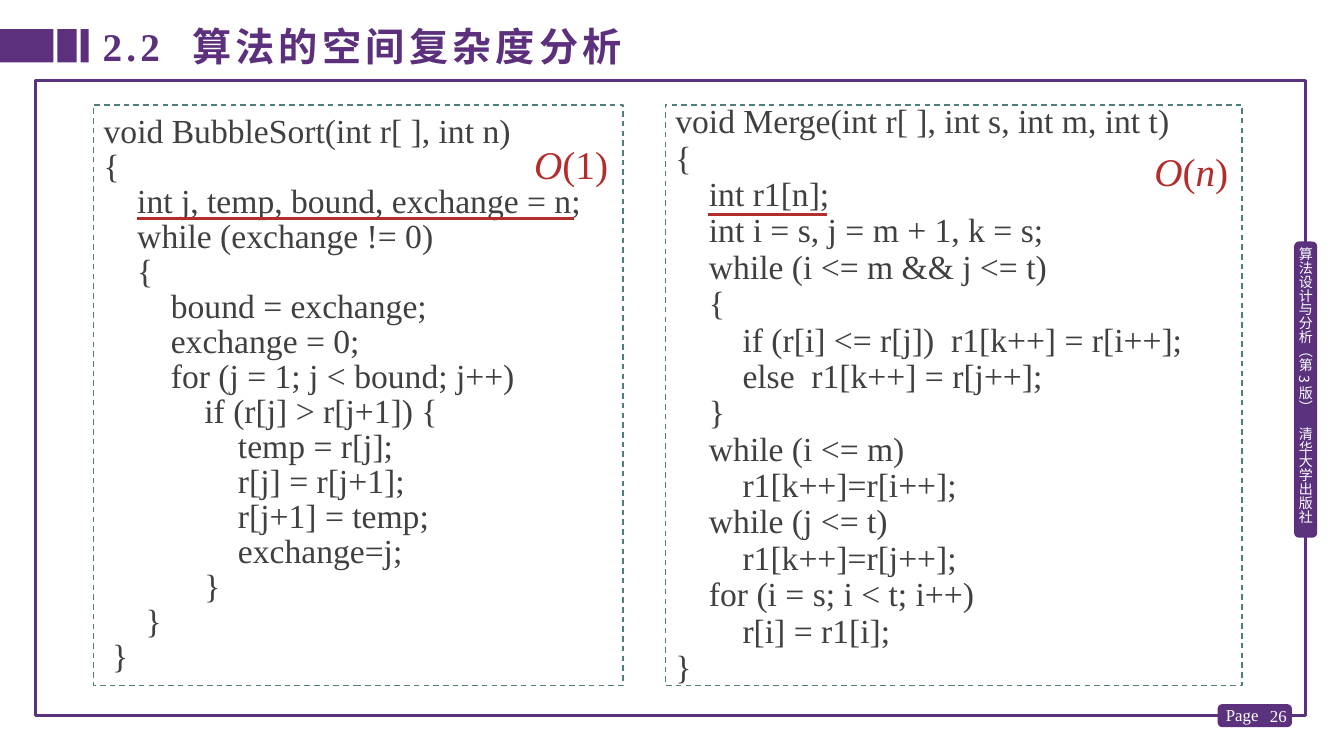
import pptx
import pptx.util
import pptx.dml.color
import pptx.enum.dml
import pptx.enum.shapes
import pptx.enum.text
from lxml import etree

RGBColor = pptx.dml.color.RGBColor
FRAME = RGBColor(0x5A, 0x32, 0x7D)
PURPLE = RGBColor(0x5C, 0x30, 0x7D)
TEAL = RGBColor(0x50, 0x7D, 0x7D)
GRAY = RGBColor(0x40, 0x40, 0x40)
RED = RGBColor(0xB4, 0x2D, 0x2D)
WHITE = RGBColor(0xFF, 0xFF, 0xFF)
ROMAN = "Times New Roman"
NOTO = "Noto Sans CJK SC"
KIND = pptx.enum.shapes.MSO_SHAPE
ALIGN = pptx.enum.text.PP_ALIGN
TOP = pptx.enum.text.MSO_ANCHOR.TOP
MID = pptx.enum.text.MSO_ANCHOR.MIDDLE
NS = "{http://schemas.openxmlformats.org/drawingml/2006/main}"
Pt = pptx.util.Pt

deck = pptx.Presentation()
deck.slide_width = pptx.util.Inches(13.33)
deck.slide_height = pptx.util.Inches(7.5)
slide = deck.slides.add_slide(deck.slide_layouts[6])
shapes = slide.shapes

# The grid has 133.3 columns and 75 rows.
COL = deck.slide_width / 133.3
ROW = deck.slide_height / 75


def place(kind, x, y, w, h, fill=None, line=None, width=1):
    """Add a shape, or a text box when kind is None, by grid cells."""
    area = [round(n) for n in (x * COL, y * ROW, w * COL, h * ROW)]
    if kind is None:
        return shapes.add_textbox(*area)
    item = shapes.add_shape(kind, *area)
    item.shadow.inherit = False
    if fill is None:
        item.fill.background()
    else:
        item.fill.solid()
        item.fill.fore_color.rgb = fill
    if line is None:
        item.line.fill.background()
    else:
        item.line.color.rgb = line
        item.line.width = Pt(width)
    return item


def write(item, lines, size, color, face=ROMAN, bold=False,
          align=ALIGN.LEFT, anchor=TOP, pitch=None):
    """Fill an item; each line lists runs of (text, italic, letter gap)."""
    frame = item.text_frame
    frame.word_wrap = True
    frame.vertical_anchor = anchor
    for i, runs in enumerate(lines):
        para = frame.add_paragraph() if i else frame.paragraphs[0]
        para.alignment = align
        if pitch:
            para.line_spacing = Pt(pitch)
        for text, italic, gap in runs:
            run = para.add_run()
            run.text = text
            font = run.font
            font.size = Pt(size)
            font.name = face
            font.bold = bold
            font.italic = italic
            font.color.rgb = color
            props = run._r.get_or_add_rPr()
            etree.SubElement(props, NS + "ea", typeface=NOTO)
            if gap:
                props.set("spc", str(round(gap * 100)))


# Frame and page tag
place(KIND.RECTANGLE, 3.5, 8, 126, 63, None, FRAME, 2.25)
place(KIND.ROUNDED_RECTANGLE, 120.9, 70, 7.1, 2, FRAME, PURPLE, 2)
write(place(None, 124.5, 69, 4.1, 4), [[("26", False, 0)]], 12, WHITE,
      align=ALIGN.RIGHT, anchor=MID)
write(place(None, 120.6, 69.4, 5.9, 3.1), [[("Page", False, 0)]], 12, WHITE)

# Title with its bars
for x, w in ((0, 5.3), (5.7, 1.9), (8, 0.8)):
    place(KIND.RECTANGLE, x, 2.9, w, 3.3, PURPLE)
write(place(None, 9.2, 1.7, 86.5, 5.7),
      [[("2.2", False, 3), (" ", False, 13), ("算法的空间复杂度分析", False, 3)]],
      28, PURPLE, bold=True)

# Side tag, its label starting inside the upper edge
place(KIND.ROUNDED_RECTANGLE, 128.5, 24.1, 2, 29.1, FRAME, PURPLE, 2)
side = place(None, 128.6, 24.5, 1.7, 28.7)
frame = side.text_frame
frame.margin_left = frame.margin_right = 0
frame.margin_top = frame.margin_bottom = 0
side.element.txBody.bodyPr.set("vert", "eaVert")
write(side, [[("算法设计与分析（第 3 版）", False, 0), (" ", False, 6.7),
              ("清华大学出版社", False, 0)]], 10, WHITE, NOTO)

# Code panels
BUBBLE = """void BubbleSort(int r[ ], int n)
{
    int j, temp, bound, exchange = n;
    while (exchange != 0)
    {
        bound = exchange;
        exchange = 0;
        for (j = 1; j < bound; j++)
            if (r[j] > r[j+1]) {
                temp = r[j];
                r[j] = r[j+1];
                r[j+1] = temp;
                exchange=j;
            }
     }
 }"""
MERGE = """void Merge(int r[ ], int s, int m, int t)
{
    int r1[n];
    int i = s, j = m + 1, k = s;
    while (i <= m && j <= t)
    {
        if (r[i] <= r[j])  r1[k++] = r[i++];
        else  r1[k++] = r[j++];
    }
    while (i <= m)
        r1[k++]=r[i++];
    while (j <= t)
        r1[k++]=r[j++];
    for (i = s; i < t; i++)
        r[i] = r1[i];
}"""
for code, x, w, pitch in ((BUBBLE, 9.3, 52.5, 25), (MERGE, 66, 57.2, 26)):
    panel = place(KIND.RECTANGLE, x, 10.4, w, 57.6, None, TEAL)
    panel.line.dash_style = pptx.enum.dml.MSO_LINE.DASH
    write(panel, [[(text, False, 0)] for text in code.split("\n")],
          24, GRAY, anchor=MID, pitch=pitch)

# Space costs
for x, h, arg, slant in ((52, 7.1, "1", False), (113.5, 8.4, "n", True)):
    cost = [("O", True, 0), ("(", False, 0), (arg, slant, 0), (")", False, 0)]
    write(place(None, x, 13.3, 9.7, h), [cost], 28, RED, anchor=MID, pitch=25)

# Underlines of the extra storage
for left, right, y in ((13.6, 56.9, 21.7), (70.2, 82, 21.3)):
    rule = shapes.add_connector(
        pptx.enum.shapes.MSO_CONNECTOR.STRAIGHT,
        round(left * COL), round(y * ROW), round(right * COL), round(y * ROW))
    rule.line.color.rgb = RED
    rule.line.width = Pt(2.25)
    etree.SubElement(rule.element.spPr, NS + "effectLst")

deck.save("out.pptx")
